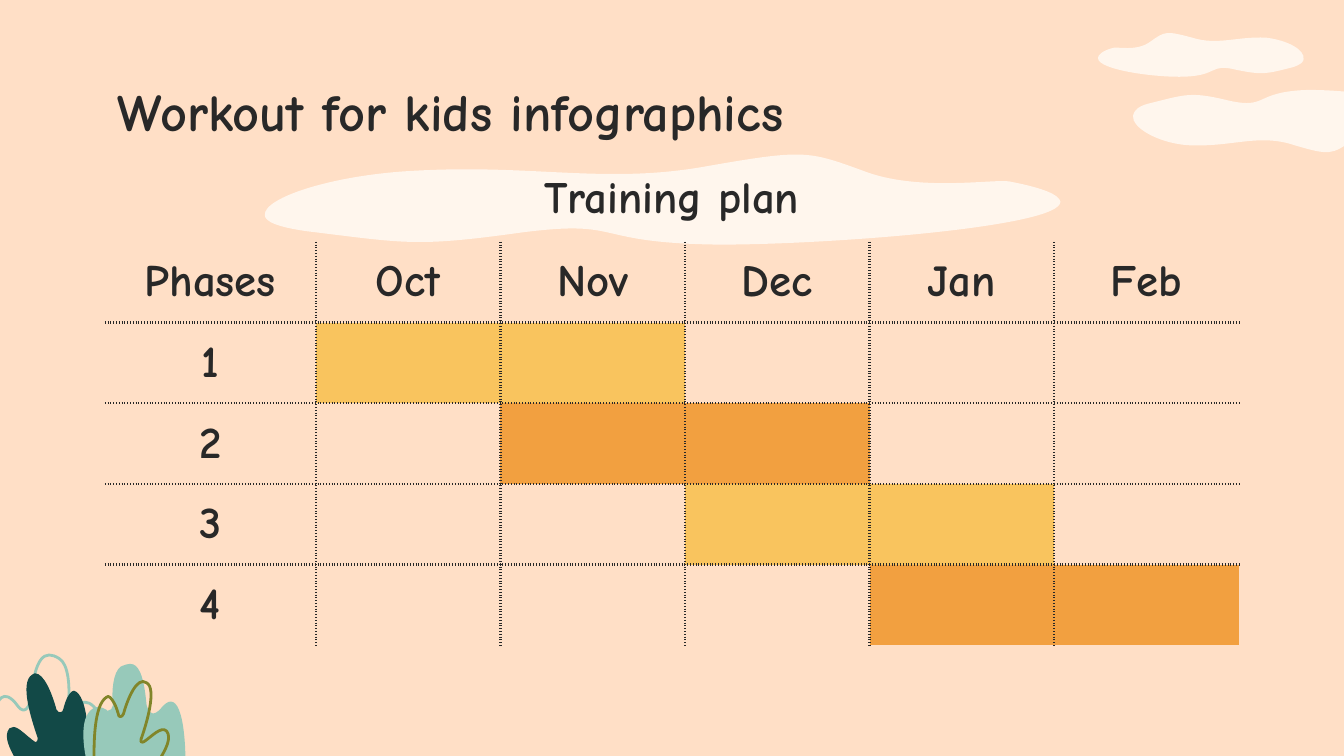
from dataclasses import dataclass

from lxml import etree
from pptx import Presentation
from pptx import util as u
from pptx.dml.color import RGBColor
from pptx.enum import text
from pptx.oxml import ns

WIDTH, HEIGHT = u.Inches(10), u.Inches(5.625)
UNIT = WIDTH // 1000


@dataclass(frozen=True)
class Theme:
    """Colours, font and type sizes of the slide."""
    ground: str = "FFDFC6"
    cloud: str = "FFF6ED"
    ink: str = "282828"
    yellow: str = "F9C45E"
    orange: str = "F2A040"
    pine: str = "124947"
    mint: str = "97C9BA"
    olive: str = "818529"
    font: str = "Comic Neue"
    title_size: int = 28
    table_size: int = 24
    line_width: float = 1.5


THEME = Theme()

SKY_CLOUDS = [
    [(26, 58), (25, 67, 44, 78, 66, 80), (99, 82, 119, 71, 146, 80),
     (173, 88, 174, 87, 190, 76), (206, 65, 226, 71, 231, 70),
     (241, 66, 245, 62, 245, 59), (247, 46, 183, 38, 153, 39),
     (116, 41, 126, 53, 98, 47), (69, 40, 66, 42, 38, 49), (30, 51, 27, 54, 26, 58)],
    [(153, 16), (154, 9, 141, 2, 125, 0), (103, -1, 89, 6, 70, 0),
     (51, -5, 50, -5, 39, 3), (28, 11, 14, 6, 10, 8), (3, 10, 0, 13, 0, 15),
     (-1, 24, 44, 30, 65, 29), (90, 28, 83, 19, 103, 24),
     (123, 28, 125, 27, 145, 22), (151, 20, 153, 18, 153, 16)],
]
BANNER_CLOUD = [
    (0, 45), (-1, 32, 51, 15, 112, 12), (200, 7, 253, 22, 327, 9),
    (401, -4, 404, -3, 445, 12), (486, 28, 542, 18, 554, 20),
    (580, 25, 591, 30, 592, 35), (593, 54, 419, 67, 339, 67),
    (240, 66, 269, 48, 191, 58), (112, 69, 105, 66, 31, 57), (10, 54, 0, 50, 0, 45)]
MINT_STEM = [
    (73, 81), (73, 81, 79, 53, 70, 43), (65, 38, 61, 39, 57, 42),
    (55, 44, 51, 42, 51, 39), (52, 28, 51, 11, 44, 7), (33, 0, 26, 6, 23, 37),
    (23, 37, 20, 52, 13, 42), (-8, 14, -8, 81, -8, 81)]
PINE_LEAF = [
    (26, 18), (25, 18, 25, 19, 24, 19), (14, 25, 24, 54, 28, 66),
    (28, 67, 28, 69, 27, 69), (26, 69, 26, 69, 26, 69), (20, 65, 14, 58, 10, 58),
    (9, 58, 8, 58, 7, 59), (2, 65, 8, 75, 11, 81), (66, 81),
    (66, 70, 66, 39, 57, 32), (56, 31, 56, 31, 55, 31), (54, 31, 53, 32, 53, 32),
    (51, 34, 49, 37, 47, 45), (47, 46, 46, 47, 45, 47), (44, 47, 43, 47, 42, 45),
    (39, 34, 33, 18, 26, 18)]
MINT_LEAF = [
    (97, 11), (103, 11, 107, 19, 109, 41), (109, 41, 110, 48, 114, 48),
    (115, 48, 117, 47, 119, 45), (122, 41, 125, 39, 127, 39),
    (138, 39, 138, 81, 138, 81), (64, 81), (64, 81, 58, 55, 67, 46),
    (69, 44, 71, 43, 73, 43), (75, 43, 77, 44, 79, 45), (79, 45, 80, 46, 80, 46),
    (82, 46, 84, 44, 84, 42), (83, 32, 84, 17, 90, 13), (92, 12, 95, 11, 97, 11)]
OLIVE_STEM = [
    (120, 80), (123, 75, 128, 66, 124, 61), (120, 57, 113, 65, 107, 69),
    (105, 70, 104, 68, 105, 67), (109, 56, 117, 29, 109, 25),
    (102, 20, 95, 37, 92, 48), (91, 51, 88, 51, 88, 48), (86, 41, 84, 38, 82, 36),
    (81, 35, 80, 35, 79, 36), (70, 42, 70, 70, 70, 80)]


def bend(shape, box, outline):
    """Turn the straight sides of a freeform into the outline's cubic curves."""
    sides = list(shape._element.iter(ns.qn("a:lnTo")))
    for side, segment in zip(sides, outline[1:]):
        if len(segment) == 2:
            continue
        curve = etree.Element(ns.qn("a:cubicBezTo"))
        for x, y in zip(segment[::2], segment[1::2]):
            etree.SubElement(curve, ns.qn("a:pt"),
                             x=str((box[0] + x) * UNIT - shape.left),
                             y=str((box[1] + y) * UNIT - shape.top))
        side.getparent().replace(side, curve)


def add_outline(page, box, outline, fill=None, line=None):
    """Draw one curved outline from the left top corner of the box."""
    points = [((box[0] + segment[-2]) * UNIT, (box[1] + segment[-1]) * UNIT)
              for segment in outline]
    builder = page.shapes.build_freeform(*points[0], scale=1)
    builder.add_line_segments(points[1:], close=fill is not None)
    shape = builder.convert_to_shape()
    bend(shape, box, outline)
    shape.shadow.inherit = False
    if fill:
        shape.fill.solid()
        shape.fill.fore_color.rgb = RGBColor.from_string(fill)
    else:
        shape.fill.background()
    if line:
        shape.line.color.rgb = RGBColor.from_string(line)
        shape.line.width = u.Pt(THEME.line_width)
    else:
        shape.line.fill.background()


def style_paragraph(para, size):
    """Give a paragraph the slide's bold lettering."""
    para.font.name = THEME.font
    para.font.size = u.Pt(size)
    para.font.bold = True
    para.font.color.rgb = RGBColor.from_string(THEME.ink)


def add_title(page, box, words):
    """Write the slide's heading in the box."""
    frame = page.shapes.add_textbox(*(length * UNIT for length in box)).text_frame
    frame.word_wrap = True
    frame.margin_left = frame.margin_right = u.Inches(0.1)
    frame.margin_top = frame.margin_bottom = u.Inches(0.1)
    frame.text = words
    style_paragraph(frame.paragraphs[0], THEME.title_size)


def add_plants(page, box):
    """Draw the leaves and stems of the corner."""
    add_outline(page, box, MINT_STEM, line=THEME.mint)
    add_outline(page, box, PINE_LEAF, fill=THEME.pine)
    add_outline(page, box, MINT_LEAF, fill=THEME.mint)
    add_outline(page, box, OLIVE_STEM, line=THEME.olive)


def add_clouds(page, box, outlines):
    """Draw a group of clouds."""
    for outline in outlines:
        add_outline(page, box, outline, fill=THEME.cloud)


def set_borders(cell, dotted):
    """Dot the named sides of a cell and clear the others."""
    properties = cell._tc.get_or_add_tcPr()
    for side in "LRTB":
        line = etree.SubElement(properties, ns.qn(f"a:ln{side}"),
                                w=str(u.Pt(THEME.line_width)))
        if side in dotted:
            paint = etree.SubElement(line, ns.qn("a:solidFill"))
            etree.SubElement(paint, ns.qn("a:srgbClr"), val=THEME.ink)
            etree.SubElement(line, ns.qn("a:prstDash"), val="dot")
        else:
            etree.SubElement(line, ns.qn("a:noFill"))


def add_plan(page, box, heading, months, phases):
    """Build the phase table, each phase filling two months."""
    left, top, width, height = (length * UNIT for length in box)
    rows, columns = len(phases) + 2, len(months) + 1
    table = page.shapes.add_table(rows, columns, left, top, width, height).table
    table.first_row = table.horz_banding = False
    first_column, first_row = 157 * UNIT, 64 * UNIT
    for index, column in enumerate(table.columns):
        column.width = (width - first_column) // len(months) if index else first_column
    for index, row in enumerate(table.rows):
        row.height = (height - first_row) // (rows - 1) if index else first_row
    words = [[heading], ["Phases", *months], *([phase] for phase in phases)]
    for r in range(rows):
        for c in range(columns):
            cell = table.cell(r, c)
            inner = {"L": c > 0, "R": c < columns - 1, "T": r > 1, "B": r < rows - 1}
            set_borders(cell, [side for side in inner if r and inner[side]])
            if r > 1 and c in (r - 1, r):
                cell.fill.solid()
                cell.fill.fore_color.rgb = RGBColor.from_string(
                    THEME.orange if r % 2 else THEME.yellow)
            else:
                cell.fill.background()
            cell.margin_left = cell.margin_right = u.Inches(0.1)
            cell.margin_top = cell.margin_bottom = u.Inches(0.1)
            cell.vertical_anchor = text.MSO_ANCHOR.MIDDLE
            if c < len(words[r]):
                cell.text = words[r][c]
                para = cell.text_frame.paragraphs[0]
                para.alignment = text.PP_ALIGN.CENTER
                style_paragraph(para, THEME.table_size)
    table.cell(0, 0).merge(table.cell(0, columns - 1))


def main():
    """Build the slide and save the deck."""
    deck = Presentation()
    deck.slide_width, deck.slide_height = WIDTH, HEIGHT
    page = deck.slides.add_slide(deck.slide_layouts[6])
    page.background.fill.solid()
    page.background.fill.fore_color.rgb = RGBColor.from_string(THEME.ground)
    add_plants(page, (0, 483))
    add_clouds(page, (817, 28), SKY_CLOUDS)
    add_clouds(page, (197, 115), [BANNER_CLOUD])
    add_title(page, (78, 49, 844, 63), "Workout for kids infographics")
    add_plan(page, (78, 116, 844, 356), "Training plan",
             ["Oct", "Nov", "Dec", "Jan", "Feb"], ["1", "2", "3", "4"])
    deck.save("out.pptx")


if __name__ == "__main__":
    main()
